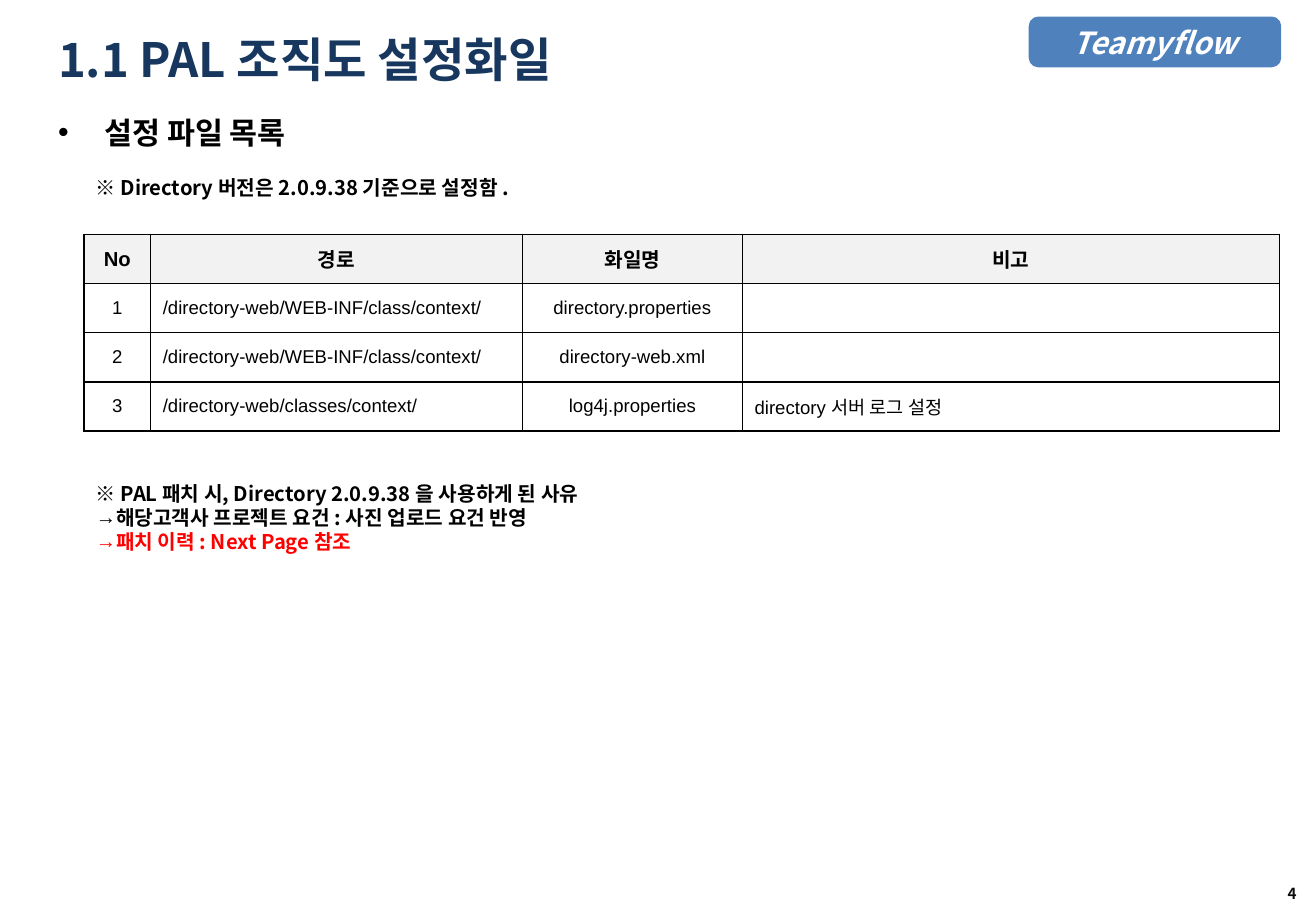
from pptx import Presentation
from pptx.dml.color import RGBColor
from pptx.enum.shapes import MSO_SHAPE
from pptx.enum.text import MSO_ANCHOR, MSO_AUTO_SIZE, PP_ALIGN
from pptx.oxml.ns import qn
from pptx.util import Inches, Pt
from lxml.etree import SubElement

COLORS = {"title": "17375E", "badge": "4F81BD", "white": "FFFFFF", "text": "000000",
          "header": "F2F2F2", "alert": "FF0000", "number": "0D0D0D"}
KOREAN, LATIN = "Noto Sans CJK KR", "Arial"
COLUMN_WIDTHS = (0.55, 3.06, 1.81, 4.42)
FILE_ROWS = (
    ("No", "경로", "화일명", "비고"),
    ("1", "/directory-web/WEB-INF/class/context/", "directory.properties", ""),
    ("2", "/directory-web/WEB-INF/class/context/", "directory-web.xml", ""),
    ("3", "/directory-web/classes/context/", "log4j.properties", "directory 서버 로그 설정"),
)
REASONS = (
    ("※ PAL 패치 시, Directory 2.0.9.38 을 사용하게 된 사유", None, "text"),
    ("해당고객사 프로젝트 요건 : 사진 업로드 요건 반영", "→", "text"),
    ("패치 이력 : Next Page 참조", "→", "alert"),
)


def color(name):
    """Return the named colour."""
    return RGBColor.from_string(COLORS[name])


def add_span(para, text, size, tone="text", face=KOREAN, bold=True, italic=False):
    """Add one styled run to a paragraph."""
    span = para.add_run()
    span.text = text
    font = span.font
    font.size, font.bold, font.italic = Pt(size), bold, italic
    font.color.rgb = color(tone)
    font.name = face
    SubElement(font._element, qn("a:ea"), typeface=KOREAN)


def add_bullet(para, mark, indent=0):
    """Give a paragraph a bullet with a hanging indent."""
    properties = para._p.get_or_add_pPr()
    properties.set("marL", str(Inches(indent)))
    properties.set("indent", str(-Inches(indent)))
    SubElement(properties, qn("a:buFont"), typeface=LATIN)
    SubElement(properties, qn("a:buChar"), char=mark)


def add_text_frame(page, box, anchor=MSO_ANCHOR.TOP, wrap=True):
    """Add a text box and return its frame."""
    frame = page.shapes.add_textbox(*map(Inches, box)).text_frame
    frame.word_wrap = wrap
    frame.vertical_anchor = anchor
    return frame


def draw_badge(page, box):
    """Draw the rounded product badge."""
    badge = page.shapes.add_shape(MSO_SHAPE.ROUNDED_RECTANGLE, *map(Inches, box))
    badge.shadow.inherit = False
    badge.fill.solid()
    badge.fill.fore_color.rgb = badge.line.color.rgb = color("badge")
    badge.line.width = Pt(2)
    badge.text_frame.vertical_anchor = MSO_ANCHOR.MIDDLE
    para = badge.text_frame.paragraphs[0]
    para.alignment = PP_ALIGN.CENTER
    add_span(para, "Teamyflow", 18, "white", italic=True)


def draw_title(page, box):
    """Draw the page title."""
    frame = add_text_frame(page, box, MSO_ANCHOR.MIDDLE)
    add_span(frame.paragraphs[0], "1.1 PAL 조직도 설정화일", 28, "title")


def draw_heading(page, box):
    """Draw the bulleted section heading."""
    para = add_text_frame(page, box).paragraphs[0]
    para.line_spacing = 1.1
    para.space_before = Pt(5.4)
    add_bullet(para, "•", 0.38)
    add_span(para, "설정 파일 목록", 18)


def draw_version_note(page, box):
    """Draw the note on the version above the table."""
    frame = add_text_frame(page, box, wrap=False)
    frame.auto_size = MSO_AUTO_SIZE.SHAPE_TO_FIT_TEXT
    add_span(frame.paragraphs[0], "※ Directory 버전은 2.0.9.38 기준으로 설정함 .", 12)


def style_cell(cell, header):
    """Set the borders and fill of one cell."""
    properties = cell._tc.get_or_add_tcPr()
    for side in ("lnL", "lnR", "lnT", "lnB"):
        border = SubElement(properties, qn(f"a:{side}"), w=str(Pt(1)))
        SubElement(SubElement(border, qn("a:solidFill")), qn("a:srgbClr"), val=COLORS["text"])
    if header:
        cell.fill.solid()
        cell.fill.fore_color.rgb = color("header")
    else:
        cell.fill.background()
    cell.vertical_anchor = MSO_ANCHOR.MIDDLE


def draw_file_table(page, box):
    """Draw the table of configuration files."""
    table = page.shapes.add_table(len(FILE_ROWS), len(COLUMN_WIDTHS), *map(Inches, box)).table
    table.horz_banding = False
    for column, width in zip(table.columns, COLUMN_WIDTHS):
        column.width = Inches(width)
    for row_index, texts in enumerate(FILE_ROWS):
        header = row_index == 0
        for column_index, text in enumerate(texts):
            cell = table.cell(row_index, column_index)
            style_cell(cell, header)
            para = cell.text_frame.paragraphs[0]
            if header or column_index in (0, 2):
                para.alignment = PP_ALIGN.CENTER
            if text:
                add_span(para, text, 12 if header else 11, face=LATIN, bold=header)


def draw_reasons(page, box):
    """Draw the reasons listed under the table."""
    frame = add_text_frame(page, box)
    frame.auto_size = MSO_AUTO_SIZE.SHAPE_TO_FIT_TEXT
    for index, (text, mark, tone) in enumerate(REASONS):
        para = frame.add_paragraph() if index else frame.paragraphs[0]
        if mark:
            add_bullet(para, mark)
        add_span(para, text, 12, tone)


def draw_page_number(page, box):
    """Draw the page number."""
    frame = add_text_frame(page, box, MSO_ANCHOR.MIDDLE)
    frame.margin_left = frame.margin_right = Inches(0.12)
    frame.margin_top = frame.margin_bottom = Inches(0.06)
    para = frame.paragraphs[0]
    para.alignment = PP_ALIGN.RIGHT
    add_span(para, "4", 9, "number")


def build_deck():
    """Build and save the deck."""
    deck = Presentation()
    deck.slide_width, deck.slide_height = Inches(10.83), Inches(7.5)
    page = deck.slides.add_slide(deck.slide_layouts[6])
    draw_badge(page, (8.48, 0.15, 2.05, 0.39))
    draw_page_number(page, (8.26, 7.15, 2.53, 0.41))
    draw_title(page, (0.38, 0.21, 9.75, 0.55))
    draw_heading(page, (0.38, 0.86, 9.91, 0.45))
    draw_file_table(page, (0.69, 1.93, sum(COLUMN_WIDTHS), 1.62))
    draw_version_note(page, (0.69, 1.39, 3.79, 0.3))
    draw_reasons(page, (0.69, 3.91, 9.92, 0.91))
    deck.save("out.pptx")


build_deck()
